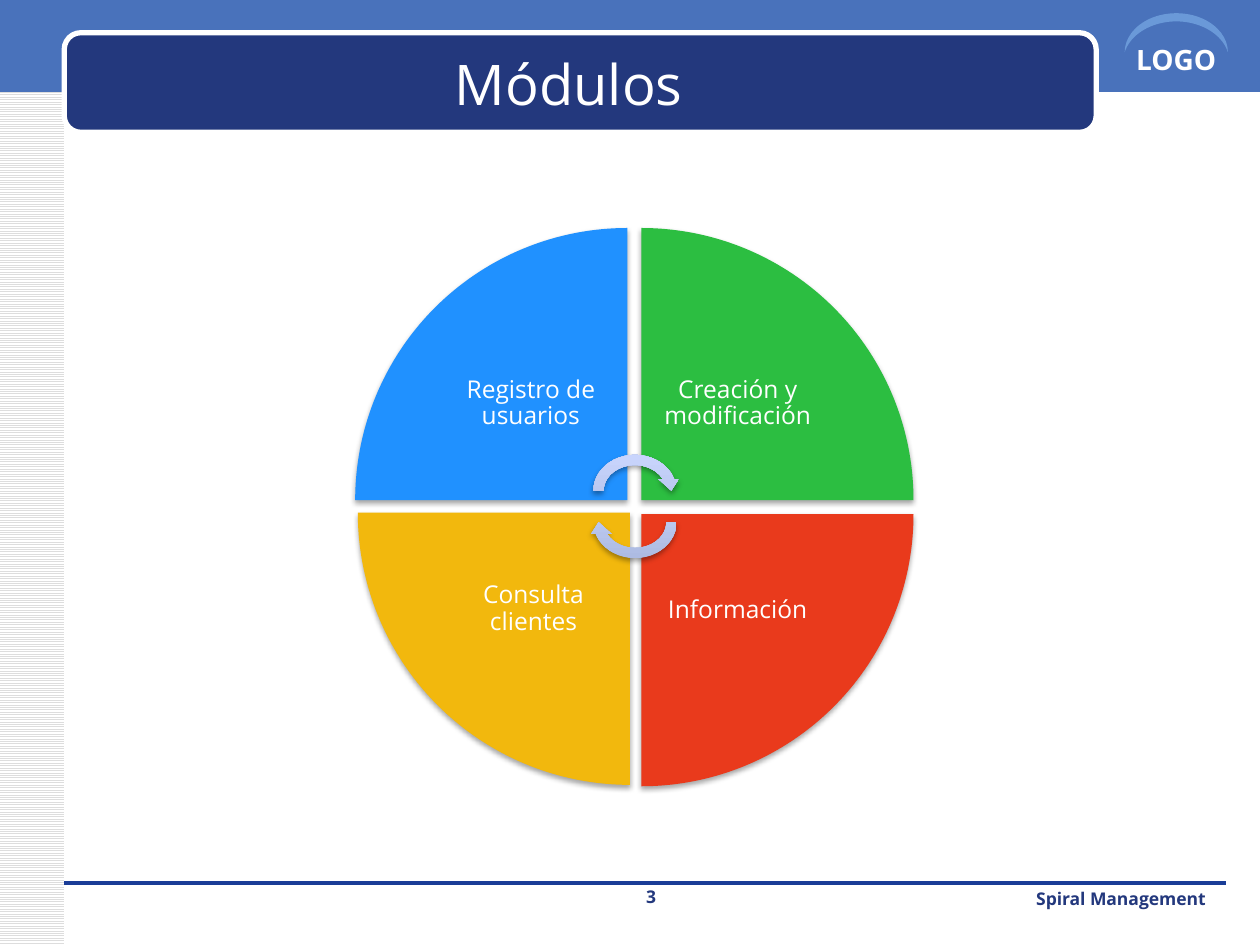
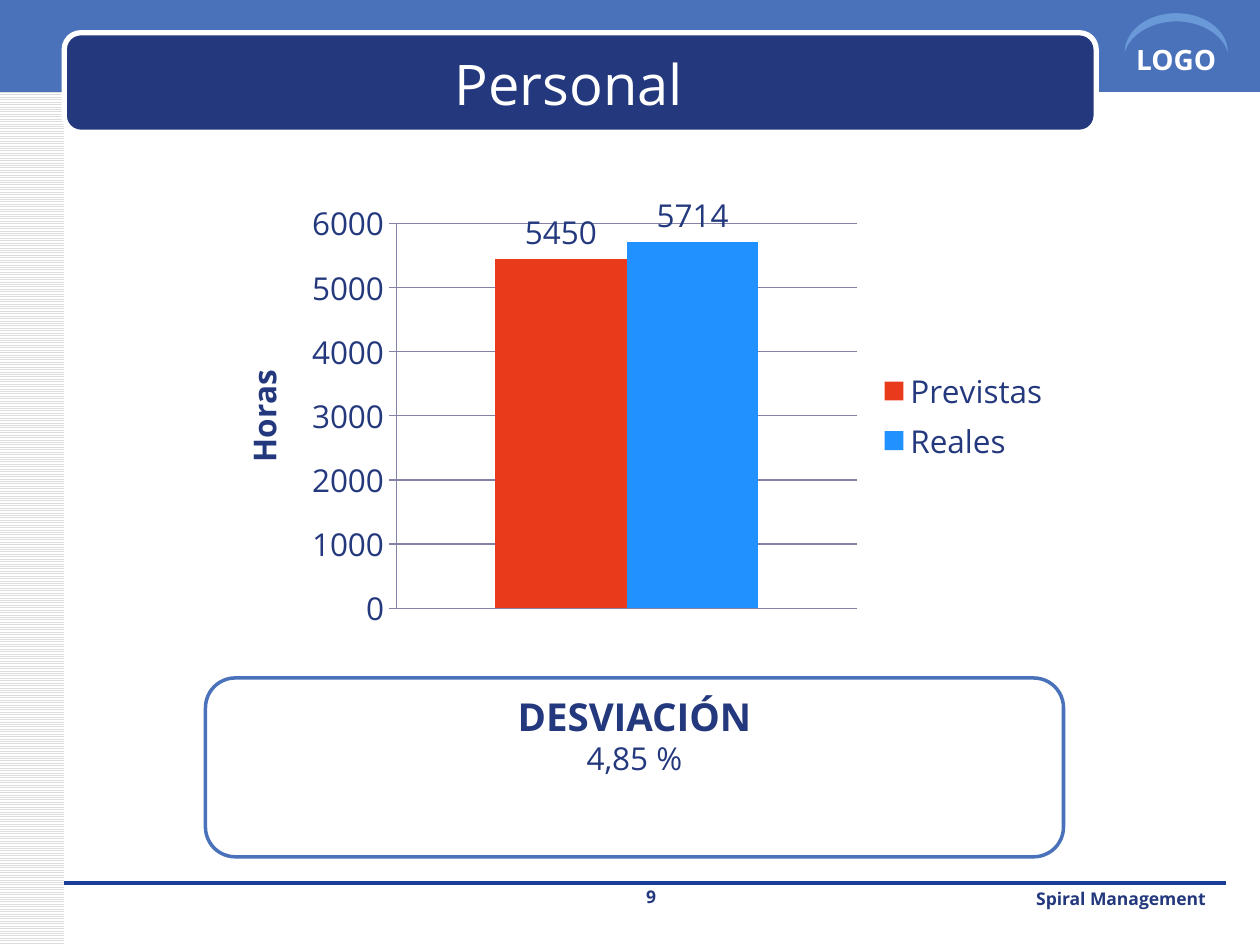
"""Build two slides on a project: its modules as a wheel and its staff hours as a chart."""
import pptx
import pptx.chart.data
import pptx.dml.color
import pptx.enum.chart
import pptx.enum.dml
import pptx.enum.shapes
import pptx.enum.text
import pptx.oxml
import pptx.util
from lxml import etree

Pt = pptx.util.Pt
SHAPE = pptx.enum.shapes.MSO_SHAPE
ALIGN = pptx.enum.text.PP_ALIGN
ANCHOR = pptx.enum.text.MSO_ANCHOR
DRAWING = "http://schemas.openxmlformats.org/drawingml/2006/main"
FONT = "Open Sans"
NAVY, BLUE, PALE_BLUE, WHITE = "23387D", "4972BB", "6A99D8", "FFFFFF"
RED, SKY, GREEN, YELLOW = "E93A1C", "2091FF", "2CBE41", "F2B80D"
RULE, GRID = "1A3D97", "8283A6"


def color(value):
    return pptx.dml.color.RGBColor.from_string(value)


def write(frame, lines, align, ink, anchor=ANCHOR.TOP):
    frame.word_wrap = True
    frame.auto_size = pptx.enum.text.MSO_AUTO_SIZE.NONE
    frame.vertical_anchor = anchor
    for index, (text, size, bold) in enumerate(lines):
        para = frame.add_paragraph() if index else frame.paragraphs[0]
        para.text = text
        para.alignment = align
        para.font.name = FONT
        para.font.size = Pt(size)
        para.font.bold = bold
        para.font.color.rgb = color(ink)


deck = pptx.Presentation()
deck.slide_width, deck.slide_height = Pt(720), Pt(540)
layout = deck.slide_layouts[5]
modules = deck.slides.add_slide(layout)
staff = deck.slides.add_slide(layout)

shapes = modules.shapes
stripes = shapes.add_shape(SHAPE.RECTANGLE, 0, 0, Pt(36.7), Pt(540))
stripes.fill.patterned()
stripes.fill.pattern = pptx.enum.dml.MSO_PATTERN.LIGHT_HORIZONTAL
stripes.fill.fore_color.rgb = color("DDDDDD")
stripes.fill.back_color.rgb = color(WHITE)
band = shapes.add_shape(SHAPE.RECTANGLE, 0, 0, Pt(720), Pt(52.5))
rule = shapes.add_connector(pptx.enum.shapes.MSO_CONNECTOR.STRAIGHT,
                            Pt(36.7), Pt(504.7), Pt(700.6), Pt(504.7))
rule.line.color.rgb = color(RULE)
rule.line.width = Pt(0)
etree.SubElement(rule.element.spPr, f"{{{DRAWING}}}effectLst")
plate = shapes.add_shape(SHAPE.ROUNDED_RECTANGLE, Pt(36.7), Pt(18.7), Pt(589.7), Pt(56.9))
badge = shapes.add_textbox(Pt(642.2), Pt(20.9), Pt(77.8), Pt(26.6))
write(badge.text_frame, [("LOGO", 16, True)], ALIGN.LEFT, WHITE)
arc = shapes.add_shape(SHAPE.MOON, Pt(661), Pt(-10.8), Pt(22.3), Pt(59))
arc.rotation = 90
arc.adjustments[0] = 0.21
for shape, fill in ((band, BLUE), (plate, NAVY), (arc, PALE_BLUE)):
    shape.fill.solid()
    shape.fill.fore_color.rgb = color(fill)
for shape in (stripes, band, plate, arc):
    shape.shadow.inherit = False
    shape.line.fill.background()
plate.line.color.rgb = color(WHITE)
plate.line.width = Pt(3)

for index, shape in enumerate((stripes, band, rule, plate, badge, arc)):
    shape.element.xpath(".//p:cNvPr")[0].set("id", str(100 + index))
    layout.shapes.element.insert(2 + index, shape.element)

for page, heading, number in ((modules, "Módulos", "3"), (staff, "Personal", "9")):
    title = page.shapes.title
    title.left, title.top, title.width, title.height = Pt(43.2), Pt(25.2), Pt(563.8), Pt(44.6)
    write(title.text_frame, [(heading, 32, False)], ALIGN.CENTER, WHITE, ANCHOR.MIDDLE)
    footer = page.shapes.add_textbox(Pt(468), Pt(504), Pt(228), Pt(18))
    write(footer.text_frame, [("Spiral Management", 10, True)], ALIGN.RIGHT, NAVY)
    page_number = page.shapes.add_textbox(Pt(288), Pt(502.6), Pt(168), Pt(16.6))
    write(page_number.text_frame, [(number, 10, True)], ALIGN.CENTER, NAVY)

RADIUS, LABEL = 155.5, 110.2
wheel = []
wedges = (
    ("Registro de usuarios", SKY, 203, 130.3, 0),
    ("Creación y modificación", GREEN, 366.5, 130.3, 90),
    ("Información", RED, 366.5, 293.8, 180),
    ("Consulta clientes", YELLOW, 204.5, 293, 270),
)
for text, fill, left, top, angle in wedges:
    wedge = shapes.add_shape(SHAPE.PIE_WEDGE, Pt(left), Pt(top), Pt(RADIUS), Pt(RADIUS))
    wedge.rotation = angle
    wedge.fill.solid()
    wedge.fill.fore_color.rgb = color(fill)
    wheel.append(wedge)
    inward = RADIUS - LABEL
    label = shapes.add_textbox(Pt(left + (inward if angle in (0, 270) else 0)),
                               Pt(top + (inward if angle in (0, 90) else 0)), Pt(LABEL), Pt(LABEL))
    frame = label.text_frame
    frame.margin_left = frame.margin_right = frame.margin_top = frame.margin_bottom = Pt(8)
    write(frame, [(text, 14, False)], ALIGN.CENTER, WHITE, ANCHOR.MIDDLE)
    frame.paragraphs[0].line_spacing = 0.9

for top, angle in ((257, 0), (275, 180)):
    arrow = shapes.add_shape(SHAPE.CIRCULAR_ARROW, Pt(336.2), Pt(top), Pt(53.3), Pt(46.8))
    arrow.rotation = angle
    arrow.fill.gradient()
    arrow.fill.gradient_angle = 90
    for stop, tint in zip(arrow.fill.gradient_stops, ("ABB9E0", "CBD7FF")):
        stop.color.rgb = color(tint)
    arrow.element.xpath(".//a:gradFill")[0].set("rotWithShape", "0")
    wheel.append(arrow)

for piece in wheel:
    piece.line.fill.background()
    piece.shadow.inherit = False
    piece.element.xpath(".//a:effectLst")[0].append(pptx.oxml.parse_xml(
        f'<a:outerShdw xmlns:a="{DRAWING}" blurRad="{Pt(3.1)}" dist="{Pt(1.8)}" dir="5400000" '
        'rotWithShape="0"><a:srgbClr val="000000"><a:alpha val="35000"/></a:srgbClr></a:outerShdw>'))

hours = pptx.chart.data.CategoryChartData()
hours.categories = ["1"]
hours.add_series("Previstas", [5450])
hours.add_series("Reales", [5714])
chart = staff.shapes.add_chart(pptx.enum.chart.XL_CHART_TYPE.COLUMN_CLUSTERED,
                               Pt(120.2), Pt(110.2), Pt(487.4), Pt(254.9), hours).chart
chart.has_title = False
chart.font.name = FONT
chart.font.size = Pt(18)
chart.font.color.rgb = color(NAVY)
chart.has_legend = True
chart.legend.position = pptx.enum.chart.XL_LEGEND_POSITION.RIGHT
chart.legend.include_in_layout = False
chart.category_axis.visible = False

axis = chart.value_axis
axis.minimum_scale, axis.maximum_scale, axis.major_unit = 0, 6000, 1000
axis.major_tick_mark = pptx.enum.chart.XL_TICK_MARK.OUTSIDE
axis.has_major_gridlines = True
for line in (axis.format.line, axis.major_gridlines.format.line):
    line.color.rgb = color(GRID)
    line.width = Pt(0.75)
write(axis.axis_title.text_frame, [("Horas", 18, True)], ALIGN.CENTER, NAVY)

plot = chart.plots[0]
plot.vary_by_categories = False
plot.gap_width, plot.overlap = 150, 0
plot.has_data_labels = True
plot.data_labels.show_value = True
plot.data_labels.position = pptx.enum.chart.XL_LABEL_POSITION.OUTSIDE_END
for series, fill in zip(plot.series, (RED, SKY)):
    series.format.fill.solid()
    series.format.fill.fore_color.rgb = color(fill)

deviation = staff.shapes.add_shape(SHAPE.ROUNDED_RECTANGLE,
                                   Pt(117.4), Pt(387.4), Pt(490.3), Pt(102.2))
deviation.shadow.inherit = False
deviation.fill.solid()
deviation.fill.fore_color.rgb = color(WHITE)
deviation.line.color.rgb = color(BLUE)
deviation.line.width = Pt(2)
write(deviation.text_frame, [("DESVIACIÓN", 22, True), ("4,85 %", 18, False)], ALIGN.CENTER, NAVY)

deck.save("out.pptx")
